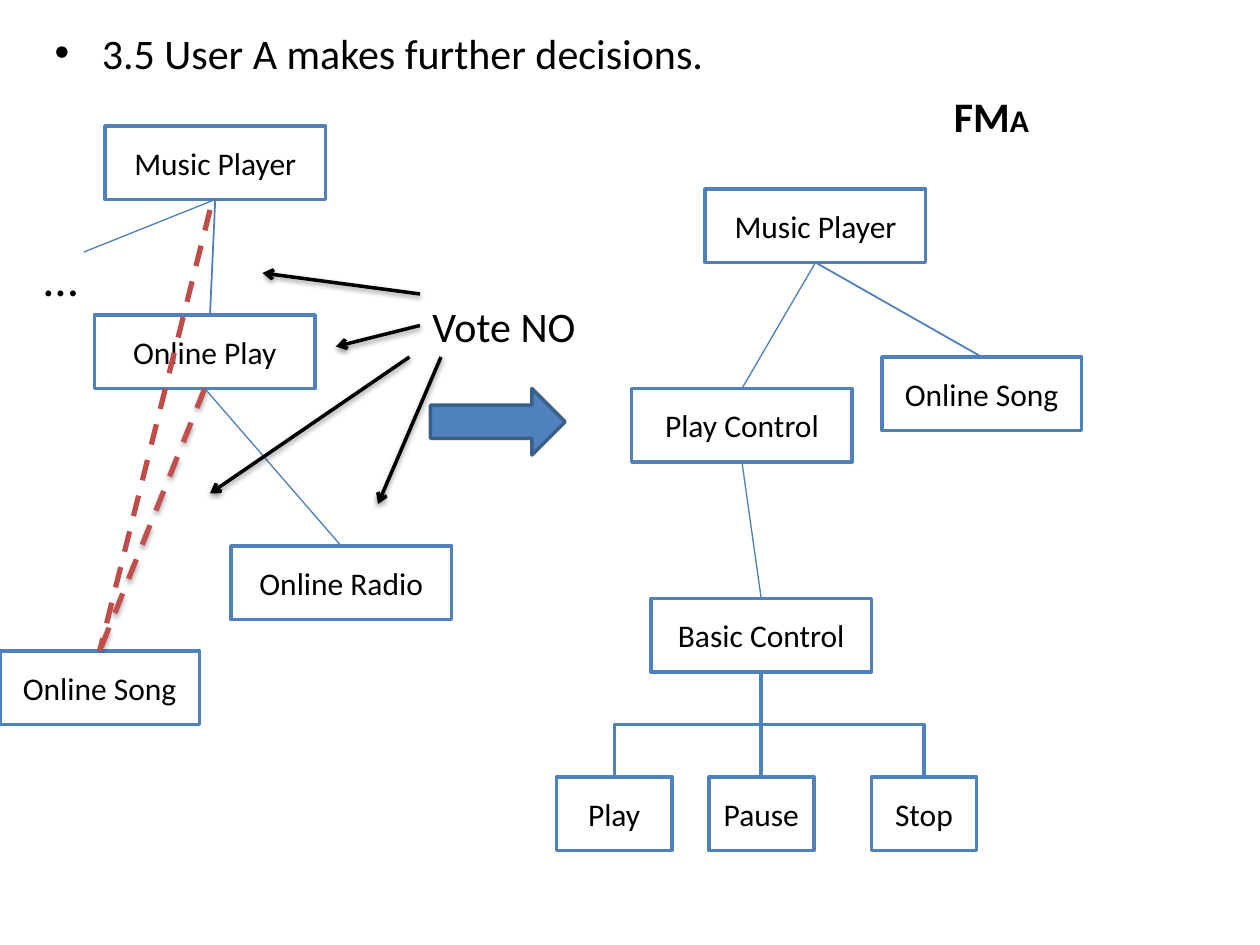
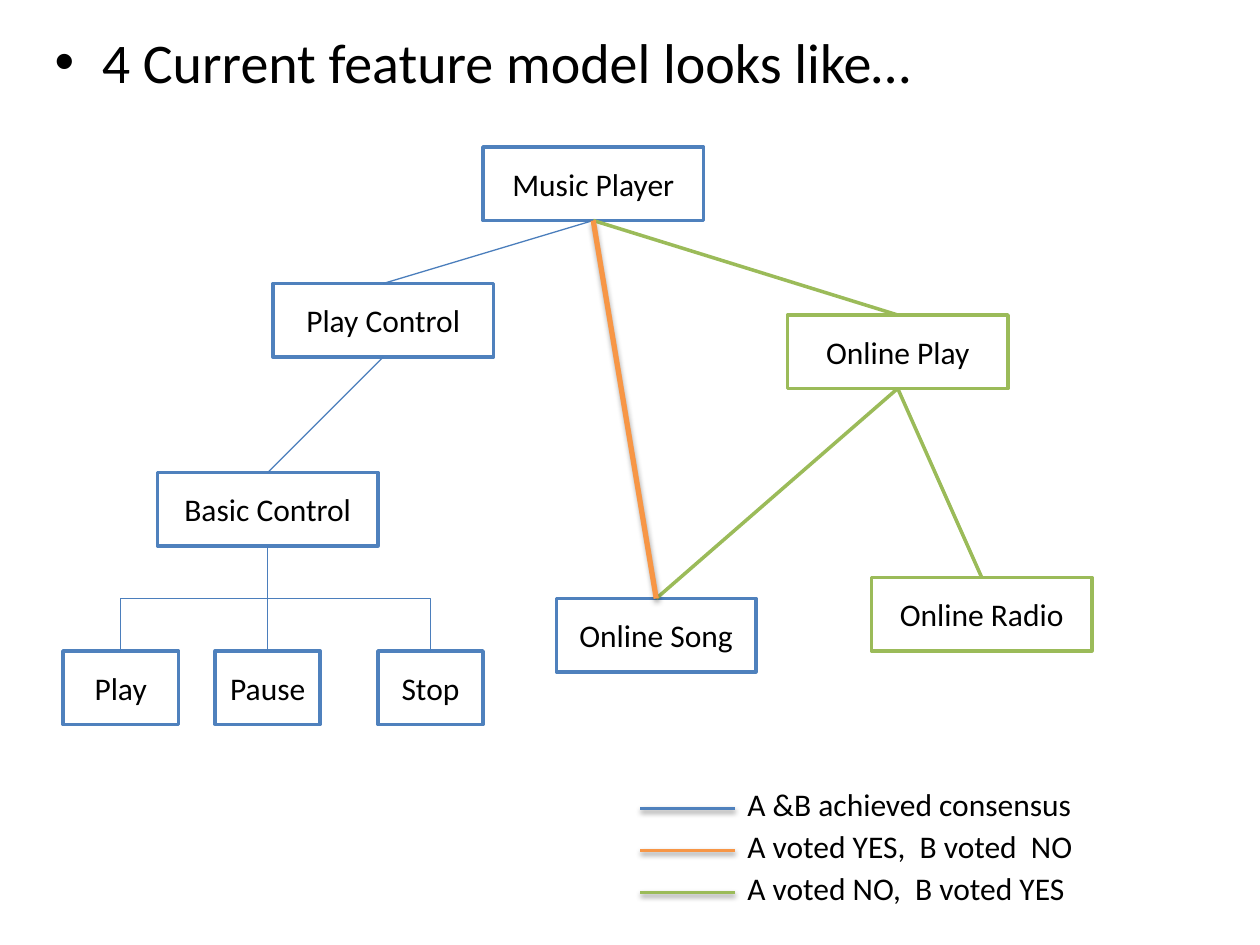
"""Build two slides that show how votes change a music player feature model."""
from dataclasses import dataclass

from lxml import etree
from pptx import Presentation
from pptx.dml.color import RGBColor
from pptx.enum.dml import MSO_LINE
from pptx.enum.shapes import MSO_CONNECTOR, MSO_SHAPE
from pptx.enum.text import MSO_ANCHOR, MSO_AUTO_SIZE, PP_ALIGN
from pptx.oxml.ns import qn
from pptx.util import Pt

RECT, RIGHT_ARROW = MSO_SHAPE.RECTANGLE, MSO_SHAPE.RIGHT_ARROW
STRAIGHT, ELBOW = MSO_CONNECTOR.STRAIGHT, MSO_CONNECTOR.ELBOW
TOP, MIDDLE = MSO_ANCHOR.TOP, MSO_ANCHOR.MIDDLE
LEFT, CENTER = PP_ALIGN.LEFT, PP_ALIGN.CENTER
DASH, NO_FIT = MSO_LINE.DASH, MSO_AUTO_SIZE.NONE


@dataclass(frozen=True)
class Theme:
    font: str = "Calibri"
    black: str = "000000"
    white: str = "FFFFFF"
    blue: str = "4F81BD"
    link: str = "4B7EBC"
    dark_blue: str = "3A5F8C"
    red: str = "C0504D"
    dark_red: str = "BF4C48"
    green: str = "9BBB59"
    orange: str = "F79646"
    body: int = 18
    large: int = 24
    ellipsis: int = 28
    heading: int = 32


T = Theme()
TITLE_INDENT = 27
BOX_H = 42
BOX_W = {"Online Song": 114, "Play": 66, "Pause": 60, "Stop": 60}
DEFAULT_W = 126
BUTTONS = {"Play": -54, "Pause": 33, "Stop": 126}
BUTTON_DROP = 102
BOTTOM_SITE, TOP_SITE = 2, 0

THIN = dict(color=T.link, width=0.75)
MEDIUM = dict(color=T.link, width=1)
BOLD = dict(color=T.blue, width=2)
GREEN = dict(color=T.green, width=2)
SOFT = dict(alpha=38, dist=1.6)
HEAVY = dict(alpha=35, dist=1.8)
VOTED_OUT = dict(color=T.red, width=3, dash=DASH, shadow=HEAVY)
REPLACED = dict(color=T.dark_red, width=3, dash=DASH)
DISPUTED = dict(color=T.orange, width=3, shadow=HEAVY)
VOTE = dict(color=T.black, width=2, arrow=True, shadow=SOFT)

BEFORE = {
    "nodes": {"Music Player": (60, 72), "Online Play": (54, 180),
              "Online Song": (0, 372), "Online Radio": (132, 312)},
    "edges": [("Online Play", "Online Song", VOTED_OUT),
              ("Online Play", "Online Radio", THIN)],
}
AFTER = {
    "nodes": {"Music Player": (403, 108), "Play Control": (361, 222),
              "Basic Control": (372, 342), "Online Song": (504, 204)},
    "edges": [("Music Player", "Play Control", THIN),
              ("Music Player", "Online Song", MEDIUM),
              ("Play Control", "Basic Control", THIN)],
    "button_style": BOLD,
}
CURRENT = {
    "nodes": {"Music Player": (276, 84), "Play Control": (156, 162),
              "Basic Control": (90, 270), "Online Play": (450, 180),
              "Online Song": (318, 342), "Online Radio": (498, 330)},
    "edges": [("Music Player", "Play Control", THIN),
              ("Play Control", "Basic Control", THIN),
              ("Music Player", "Online Play", GREEN),
              ("Online Play", "Online Song", GREEN),
              ("Online Play", "Online Radio", GREEN),
              ("Music Player", "Online Song", DISPUTED)],
    "button_style": THIN,
    "outlines": {"Online Play": T.green, "Online Radio": T.green},
}
FREE_LINES = [((123, 114), (48, 144), THIN), ((123, 114), (120, 180), MEDIUM),
              ((120, 120), (57, 372), REPLACED)]
VOTE_ARROWS = [((240, 186), (192, 198)), ((234, 204), (120, 282)),
               ((252, 204), (216, 288)), ((240, 168), (150, 156))]
LEGEND = [("A &B achieved consensus", T.blue),
          ("A voted YES,  B voted  NO", T.orange),
          ("A voted NO,  B voted YES", T.green)]
LEGEND_X, LEGEND_Y, LEGEND_STEP, LEGEND_LINE = 366, 462, 24, 54


def rgb(color):
    return RGBColor.from_string(color)


def add_run(p, text, size=T.body, bold=False):
    r = p.add_run()
    r.text = text
    r.font.name, r.font.size, r.font.bold = T.font, Pt(size), bold
    r.font.color.rgb = rgb(T.black)


def add_text(s, text, x, y, w, h, size=T.body, wrap=True):
    tf = s.shapes.add_textbox(Pt(x), Pt(y), Pt(w), Pt(h)).text_frame
    tf.word_wrap = wrap
    if text:
        add_run(tf.paragraphs[0], text, size)
    return tf.paragraphs[0]


def add_shape(s, kind, x, y, w, h, fill, outline):
    sp = s.shapes.add_shape(kind, Pt(x), Pt(y), Pt(w), Pt(h))
    sp.shadow.inherit = False
    sp.fill.solid()
    sp.fill.fore_color.rgb = rgb(fill)
    sp.line.color.rgb = rgb(outline)
    sp.line.width = Pt(2)
    return sp


def add_box(s, text, x, y, outline):
    sp = add_shape(s, RECT, x, y, BOX_W.get(text, DEFAULT_W), BOX_H, T.white, outline)
    sp.text_frame.vertical_anchor = MIDDLE
    p = sp.text_frame.paragraphs[0]
    p.alignment = CENTER
    add_run(p, text)
    return sp


def style_line(cxn, color, width, dash=None, arrow=False, shadow=None):
    cxn.line.color.rgb = rgb(color)
    cxn.line.width = Pt(width)
    if dash:
        cxn.line.dash_style = dash
    if arrow:
        etree.SubElement(cxn.line._get_or_add_ln(), qn("a:tailEnd"), type="arrow")
    effects = etree.SubElement(cxn._element.spPr, qn("a:effectLst"))
    if shadow:
        outer = etree.SubElement(effects, qn("a:outerShdw"), blurRad=str(Pt(3.1)),
                                 dist=str(Pt(shadow["dist"])), dir="5400000",
                                 rotWithShape="0")
        tint = etree.SubElement(outer, qn("a:srgbClr"), val=T.black)
        etree.SubElement(tint, qn("a:alpha"), val=str(shadow["alpha"] * 1000))


def add_line(s, start, end, **style):
    cxn = s.shapes.add_connector(STRAIGHT, *map(Pt, start + end))
    style_line(cxn, **style)


def link_boxes(s, parent, child, kind=STRAIGHT, **style):
    cxn = s.shapes.add_connector(kind, 0, 0, 0, 0)
    cxn.begin_connect(parent, BOTTOM_SITE)
    cxn.end_connect(child, TOP_SITE)
    if kind == ELBOW:
        turn_elbow(cxn)
    style_line(cxn, **style)


def turn_elbow(cxn):
    """Rotate an elbow so that it leaves downwards and arrives from above."""
    dx, dy = cxn.end_x - cxn.begin_x, cxn.end_y - cxn.begin_y
    mid_x, mid_y = cxn.begin_x + dx // 2, cxn.begin_y + dy // 2
    xfrm = cxn._element.spPr.xfrm
    xfrm.flipH, xfrm.flipV = dx > 0, False
    xfrm.set("rot", "16200000" if dx > 0 else "5400000")
    cxn.width, cxn.height = dy, abs(dx)
    cxn.left, cxn.top = mid_x - dy // 2, mid_y - abs(dx) // 2


def add_tree(s, tree):
    outlines = tree.get("outlines", {})
    nodes = dict(tree["nodes"])
    if "button_style" in tree:
        x, y = nodes["Basic Control"]
        nodes.update({name: (x + dx, y + BUTTON_DROP) for name, dx in BUTTONS.items()})
    boxes = {name: add_box(s, name, *at, outlines.get(name, T.blue))
             for name, at in nodes.items()}
    for parent, child, style in tree["edges"]:
        link_boxes(s, boxes[parent], boxes[child], **style)
    if "button_style" in tree:
        for name in BUTTONS:
            link_boxes(s, boxes["Basic Control"], boxes[name], ELBOW, **tree["button_style"])


def add_slide(prs, title, size, height):
    s = prs.slides.add_slide(prs.slide_layouts[5])
    sp = s.shapes.title
    sp.left, sp.top, sp.width, sp.height = Pt(24), Pt(12), Pt(648), Pt(height)
    tf = sp.text_frame
    tf.auto_size, tf.word_wrap, tf.vertical_anchor = NO_FIT, True, TOP
    p = tf.paragraphs[0]
    p.alignment = LEFT
    pPr = p._p.get_or_add_pPr()
    pPr.set("marL", str(Pt(TITLE_INDENT)))
    pPr.set("indent", str(-Pt(TITLE_INDENT)))
    etree.SubElement(pPr, qn("a:buFont"), typeface="Arial")
    etree.SubElement(pPr, qn("a:buChar"), char="•")
    add_run(p, title, size)
    return s


def build_decisions(prs):
    s = add_slide(prs, "3.5 User A makes further decisions.", T.large, 96)
    p = add_text(s, "", 538, 48, 182, 36)
    add_run(p, "FM", T.large, bold=True)
    add_run(p, "A", bold=True)
    add_text(s, "Vote NO", 240, 168, 97, 36, T.large, wrap=False)
    add_text(s, "…", 18, 138, 34, 41, T.ellipsis)
    add_shape(s, RIGHT_ARROW, 246, 222, 77, 38, T.blue, T.dark_blue)
    add_tree(s, BEFORE)
    add_tree(s, AFTER)
    for start, end, style in FREE_LINES:
        add_line(s, start, end, **style)
    for start, end in VOTE_ARROWS:
        add_line(s, start, end, **VOTE)


def build_current_model(prs):
    s = add_slide(prs, "4 Current feature model looks like…", T.heading, 60)
    add_tree(s, CURRENT)
    text_x = LEGEND_X + LEGEND_LINE
    for i, (label, color) in enumerate(LEGEND):
        y = LEGEND_Y + i * LEGEND_STEP
        add_line(s, (LEGEND_X, y), (text_x, y), color=color, width=2, shadow=SOFT)
        add_text(s, label, text_x, y - 17, 216, 29)


def main():
    prs = Presentation()
    prs.slide_width, prs.slide_height = Pt(720), Pt(540)
    build_decisions(prs)
    build_current_model(prs)
    prs.save("out.pptx")


if __name__ == "__main__":
    main()
